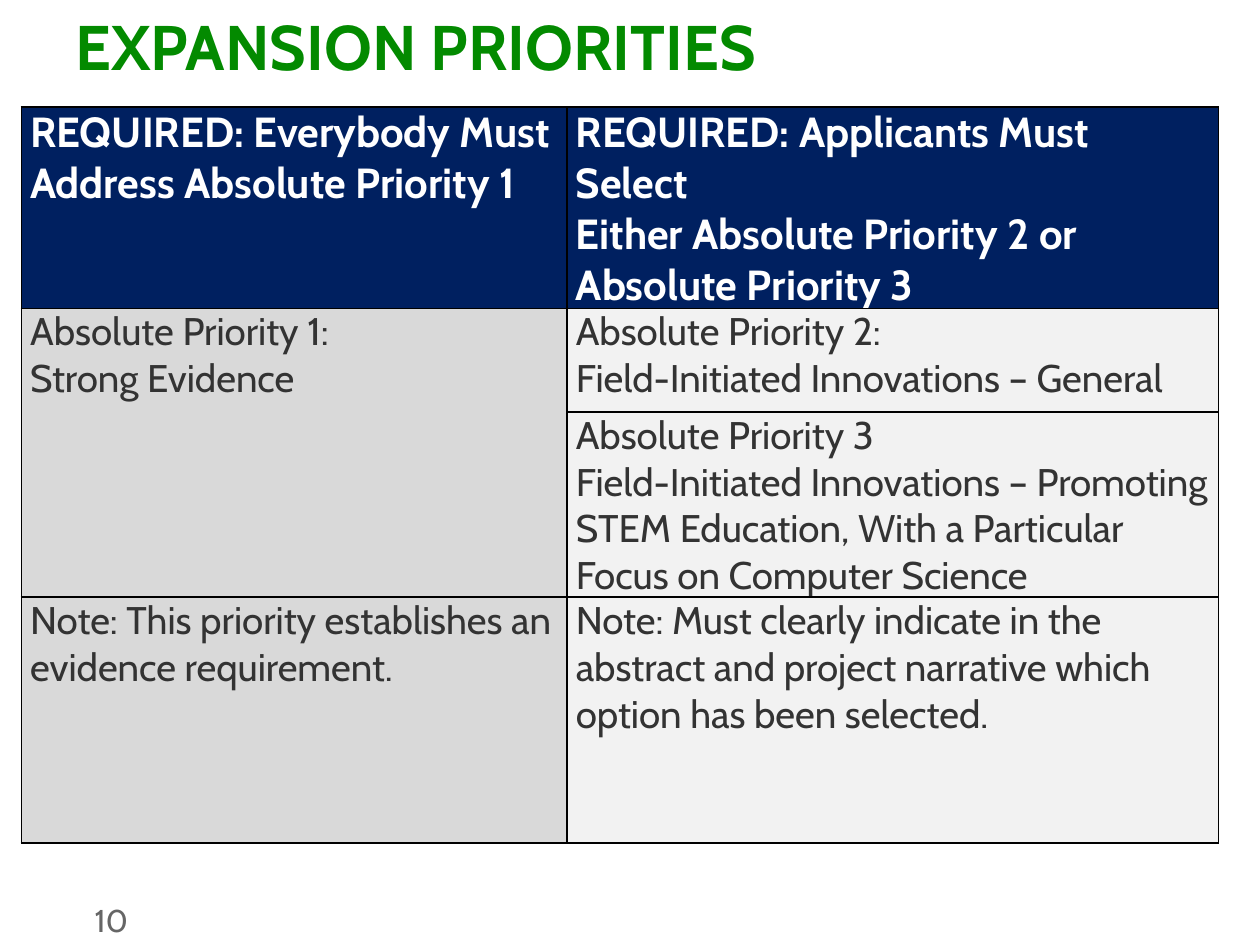
from lxml.etree import SubElement
from pptx import Presentation
from pptx.dml.color import RGBColor
from pptx.enum.text import MSO_ANCHOR, PP_ALIGN
from pptx.oxml.ns import qn
from pptx.util import Inches, Pt

FONT = "Cabin"
NAVY, GRAY, PALE = "002060", "D9D9D9", "F2F2F2"

COLS = [4.33, 5.17]
ROWS = [1.4, 0.82, 1.47, 1.95]
CELLS = [
    ["REQUIRED: Everybody Must Address Absolute Priority 1",
     "REQUIRED: Applicants Must Select\n"
     "Either Absolute Priority 2 or Absolute Priority 3"],
    ["Absolute Priority 1:\nStrong Evidence",
     "Absolute Priority 2:\nField-Initiated Innovations – General"],
    ["",
     "Absolute Priority 3\nField-Initiated Innovations – Promoting STEM "
     "Education, With a Particular Focus on Computer Science"],
    ["Note: This priority establishes an evidence requirement.",
     "Note: Must clearly indicate in the abstract and project narrative "
     "which option has been selected."],
]


def color(code):
    return RGBColor.from_string(code)


def write(frame, text, size, tint, bold=False, pad=(0, 0)):
    """Fill a text frame, one paragraph a line; pad is side, then top and bottom."""
    frame.word_wrap = True
    frame.margin_left = frame.margin_right = Inches(pad[0])
    frame.margin_top = frame.margin_bottom = Inches(pad[1])
    frame.text = text
    for para in frame.paragraphs:
        para.alignment = PP_ALIGN.LEFT
        for run in para.runs:
            font = run.font
            font.name, font.size, font.bold = FONT, Pt(size), bold
            font.color.rgb = color(tint)


def place(shape, left, top, width, height):
    shape.left, shape.top = Inches(left), Inches(top)
    shape.width, shape.height = Inches(width), Inches(height)


def border(cell):
    props = cell._tc.get_or_add_tcPr()
    for i, side in enumerate(("lnL", "lnR", "lnT", "lnB")):
        line = props.makeelement(qn(f"a:{side}"), {"w": str(Pt(1))})
        fill = SubElement(line, qn("a:solidFill"))
        SubElement(fill, qn("a:srgbClr"), val="000000")
        props.insert(i, line)


def add_title(slide, left, top, width, height):
    title = slide.shapes.title
    place(title, left, top, width, height)
    write(title.text_frame, "EXPANSION PRIORITIES", 36, "038A00",
          bold=True, pad=(0.1, 0.06))
    title.text_frame.vertical_anchor = MSO_ANCHOR.TOP


def add_grid(slide, left, top):
    frame = slide.shapes.add_table(
        len(ROWS), len(COLS), Inches(left), Inches(top),
        Inches(sum(COLS)), Inches(sum(ROWS)))
    table = frame.table
    for col, width in zip(table.columns, COLS):
        col.width = Inches(width)
    for row, height in zip(table.rows, ROWS):
        row.height = Inches(height)
    for r, texts in enumerate(CELLS):
        head = r == 0
        for c, text in enumerate(texts):
            cell = table.cell(r, c)
            write(cell.text_frame, text, 24 if head else 22,
                  "FFFFFF" if head else "333333", bold=head)
            cell.margin_left = cell.margin_right = Inches(0.07)
            cell.margin_top = cell.margin_bottom = 0
            cell.fill.solid()
            cell.fill.fore_color.rgb = color(NAVY if head else (GRAY, PALE)[c])
            border(cell)
    table.cell(1, 0).merge(table.cell(2, 0))


def add_number(slide, left, top, width, height):
    box = slide.shapes.add_textbox(0, 0, 0, 0)
    place(box, left, top, width, height)
    write(box.text_frame, "10", 18, "666666", pad=(0, 0.05))


def main():
    deck = Presentation()
    deck.slide_width, deck.slide_height = Inches(10), Inches(7.5)
    slide = deck.slides.add_slide(deck.slide_layouts[5])
    add_title(slide, 0.5, 0, 9, 0.87)
    add_number(slide, 0.75, 7.1, 0.58, 0.4)
    add_grid(slide, 0.17, 0.85)
    deck.save("out.pptx")


if __name__ == "__main__":
    main()
